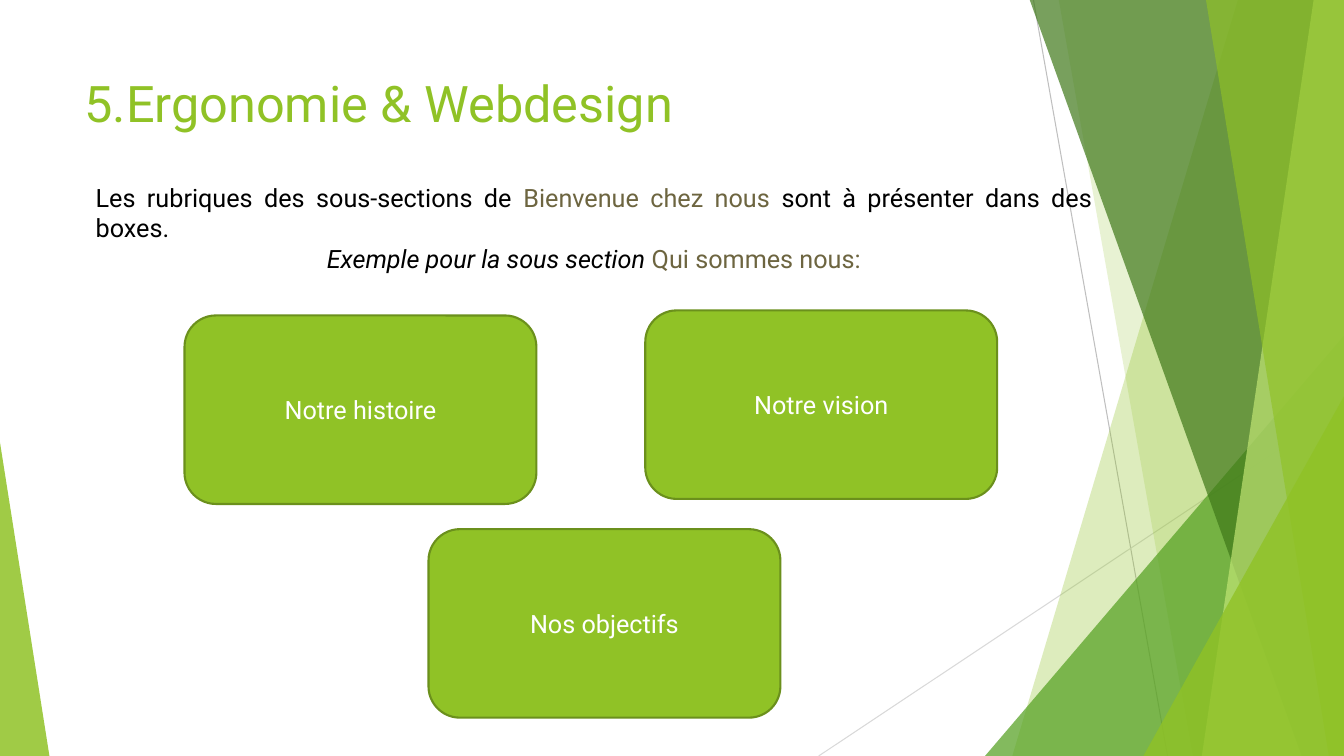
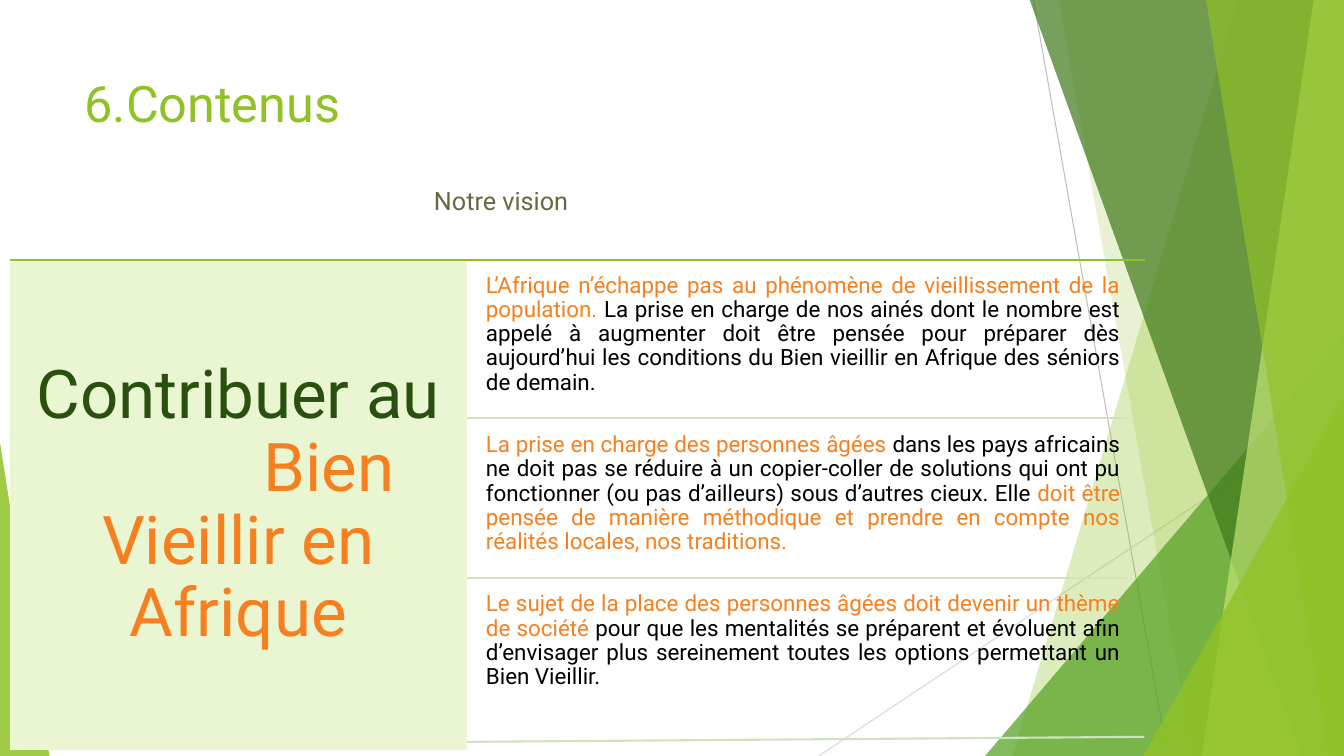
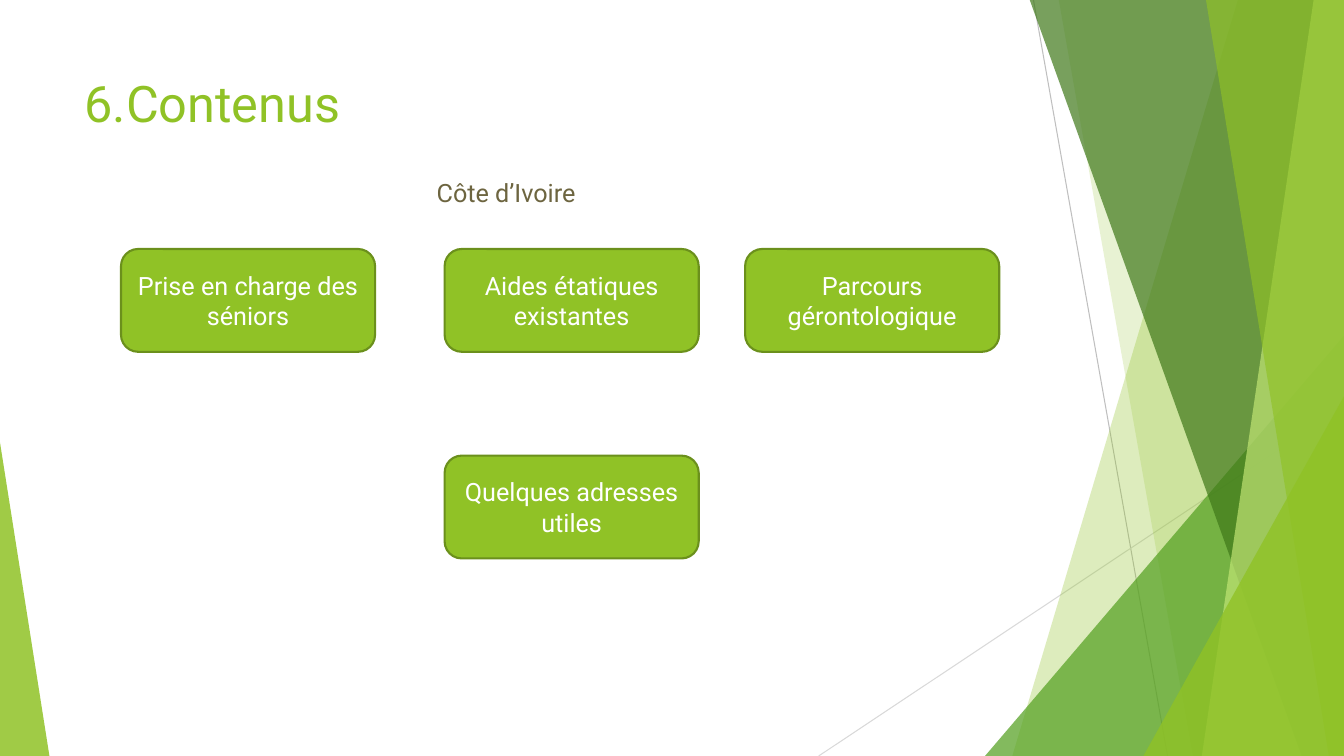
"""Build three slides on web ergonomics and content with a faceted green backdrop."""

import dataclasses
import typing

import lxml.etree
import pptx
import pptx.dml.color
import pptx.enum.shapes
import pptx.enum.text
import pptx.oxml.ns
import pptx.slide
import pptx.util

EMU_PER_PX = 9144
ALIGN = pptx.enum.text.PP_ALIGN
ANCHOR = pptx.enum.text.MSO_ANCHOR
SHAPE = pptx.enum.shapes.MSO_SHAPE


@dataclasses.dataclass(frozen=True)
class Theme:
    font: str = "Roboto"
    title_size: int = 36
    text_size: int = 18
    detail_size: int = 16
    statement_size: int = 48
    green: str = "90C226"
    box_edge: str = "6B901C"
    leaf: str = "54A021"
    forest: str = "3F7819"
    lime: str = "C0E474"
    panel: str = "EAF6D1"
    dark_green: str = "2A5010"
    separator: str = "D1E3BE"
    olive: str = "6D6540"
    orange: str = "F68020"
    black: str = "000000"
    white: str = "FFFFFF"
    gray: str = "BFBFBF"
    light_gray: str = "D9D9D9"


THEME = Theme()


class Point(typing.NamedTuple):
    x: int
    y: int


class Area(typing.NamedTuple):
    left: int
    top: int
    width: int
    height: int


class Run(typing.NamedTuple):
    text: str
    color: str
    italic: bool = False


class Paragraph(typing.NamedTuple):
    runs: tuple[Run, ...]
    align: ALIGN = ALIGN.LEFT
    indent: int = 0


class Facet(typing.NamedTuple):
    points: tuple[Point, ...]
    color: str
    opacity: int


class Triangle(typing.NamedTuple):
    area: Area
    apex: int
    color: str
    opacity: int


class Rule(typing.NamedTuple):
    start: Point
    end: Point
    color: str
    width: float = 1.5


class Box(typing.NamedTuple):
    text: str
    left: int
    top: int


RIGHT, TOP, BOTTOM = 1333, -1, 750


def facet(top_x: int, bottom_x: int, color: str, opacity: int) -> Facet:
    """Describe a facet running from a slanted edge to the right of the slide."""
    points = (Point(top_x, TOP), Point(RIGHT, TOP), Point(RIGHT, BOTTOM), Point(bottom_x, BOTTOM))
    return Facet(points, color, opacity)


BACKDROP = (
    Rule(Point(1025, 0), Point(1158, BOTTOM), THEME.gray, 0.75),
    Rule(Point(RIGHT, 403), Point(812, BOTTOM), THEME.light_gray, 0.75),
    facet(1228, 1004, THEME.green, 30),
    facet(1050, 1183, THEME.green, 20),
    Triangle(Area(977, 333, 356, 417), 1, THEME.leaf, 72),
    facet(1021, 1291, THEME.forest, 70),
    facet(1303, 1192, THEME.lime, 70),
    facet(1196, 1318, THEME.green, 65),
    Triangle(Area(1134, 393, 199, 357), 1, THEME.green, 80),
    Triangle(Area(0, 439, 49, 311), 0, THEME.green, 85),
)

SECTION_BOXES = (
    Box("Notre histoire", 183, 313),
    Box("Notre vision", 640, 308),
    Box("Nos objectifs", 425, 525),
)

COUNTRY_BOXES = (
    Box("Prise en charge des séniors", 120, 247),
    Box("Aides étatiques existantes", 441, 247),
    Box("Parcours gérontologique", 739, 247),
    Box("Quelques adresses utiles", 441, 452),
)

VISION_DETAILS = (
    (
        Run("L’Afrique n’échappe pas au phénomène de vieillissement de la population. ", THEME.orange),
        Run(
            "La prise en charge de nos ainés dont le nombre est appelé à augmenter doit être pensée "
            "pour préparer dès aujourd’hui les conditions du Bien vieillir en Afrique des séniors de demain.",
            THEME.black,
        ),
    ),
    (
        Run("La prise en charge des personnes âgées ", THEME.orange),
        Run(
            "dans les pays africains ne doit pas se réduire à un copier-coller de solutions qui ont pu "
            "fonctionner (ou pas d’ailleurs) sous d’autres cieux. Elle ",
            THEME.black,
        ),
        Run(
            "doit être pensée de manière méthodique et prendre en compte nos réalités locales, nos traditions.",
            THEME.orange,
        ),
    ),
    (
        Run("Le sujet de la place des personnes âgées doit devenir un thème de société ", THEME.orange),
        Run(
            "pour que les mentalités se préparent et évoluent afin d’envisager plus sereinement "
            "toutes les options permettant un Bien Vieillir.",
            THEME.black,
        ),
    ),
)


def px(length: int) -> pptx.util.Emu:
    """Turn a length in px into EMU."""
    return pptx.util.Emu(length * EMU_PER_PX)


def rgb(color: str) -> pptx.dml.color.RGBColor:
    """Turn a hexadecimal string into a colour."""
    return pptx.dml.color.RGBColor.from_string(color)


def write_text(
    frame: typing.Any,
    paragraphs: typing.Sequence[Paragraph],
    *,
    size: int = THEME.text_size,
    anchor: ANCHOR = ANCHOR.TOP,
    spacing: float = 1.0,
    inset: int | None = None,
) -> None:
    """Fill a text frame with formatted paragraphs."""
    frame.word_wrap = True
    frame.vertical_anchor = anchor
    if inset is not None:
        frame.margin_left = frame.margin_right = px(inset)
        frame.margin_top = frame.margin_bottom = px(inset)
    for index, content in enumerate(paragraphs):
        paragraph = frame.add_paragraph() if index else frame.paragraphs[0]
        paragraph.alignment = content.align
        paragraph.line_spacing = spacing
        if content.indent:
            paragraph._p.get_or_add_pPr().set("marL", str(px(content.indent)))
        for part in content.runs:
            run = paragraph.add_run()
            run.text = part.text
            run.font.name = THEME.font
            run.font.size = pptx.util.Pt(size)
            run.font.italic = part.italic
            run.font.color.rgb = rgb(part.color)


def add_text(
    slide: pptx.slide.Slide, area: Area, paragraphs: typing.Sequence[Paragraph], **text_format: typing.Any
) -> None:
    """Add a text box."""
    write_text(slide.shapes.add_textbox(*map(px, area)).text_frame, paragraphs, **text_format)


def paint(shape: typing.Any, color: str, opacity: int = 100, edge: str | None = None) -> None:
    """Set the fill and outline of a shape and drop its shadow."""
    shape.shadow.inherit = False
    shape.fill.solid()
    shape.fill.fore_color.rgb = rgb(color)
    if opacity < 100:
        fill_color = shape.element.spPr.find(".//" + pptx.oxml.ns.qn("a:srgbClr"))
        lxml.etree.SubElement(fill_color, pptx.oxml.ns.qn("a:alpha"), val=str(opacity * 1000))
    if edge:
        shape.line.color.rgb = rgb(edge)
        shape.line.width = pptx.util.Pt(1.5)
    else:
        shape.line.fill.background()


def add_rule(slide: pptx.slide.Slide, rule: Rule) -> None:
    """Add a straight line."""
    connector = slide.shapes.add_connector(
        pptx.enum.shapes.MSO_CONNECTOR.STRAIGHT, *map(px, (*rule.start, *rule.end))
    )
    connector.line.color.rgb = rgb(rule.color)
    connector.line.width = pptx.util.Pt(rule.width)
    lxml.etree.SubElement(connector.element.spPr, pptx.oxml.ns.qn("a:effectLst"))


def add_facet(slide: pptx.slide.Slide, item: Facet) -> None:
    """Add a translucent polygon."""
    builder = slide.shapes.build_freeform(*item.points[0], scale=EMU_PER_PX)
    builder.add_line_segments(item.points[1:], close=True)
    paint(builder.convert_to_shape(), item.color, item.opacity)


def add_triangle(slide: pptx.slide.Slide, item: Triangle) -> None:
    """Add a translucent triangle with its apex at one side."""
    shape = slide.shapes.add_shape(SHAPE.ISOSCELES_TRIANGLE, *map(px, item.area))
    shape.adjustments[0] = item.apex
    paint(shape, item.color, item.opacity)


def add_boxes(slide: pptx.slide.Slide, boxes: typing.Sequence[Box], width: int, height: int) -> None:
    """Add rounded boxes of one size."""
    for box in boxes:
        area = Area(box.left, box.top, width, height)
        shape = slide.shapes.add_shape(SHAPE.ROUNDED_RECTANGLE, *map(px, area))
        paint(shape, THEME.green, edge=THEME.box_edge)
        label = Paragraph((Run(box.text, THEME.white),), ALIGN.CENTER)
        write_text(shape.text_frame, [label], anchor=ANCHOR.MIDDLE)


def add_title(slide: pptx.slide.Slide, text: str) -> None:
    """Add the slide title."""
    title = Paragraph((Run(text, THEME.green),))
    add_text(slide, Area(74, 67, 940, 144), [title], size=THEME.title_size)


def add_subtitle(slide: pptx.slide.Slide, text: str, left: int, top: int) -> None:
    """Add a centred section name."""
    subtitle = Paragraph((Run(text, THEME.olive),), ALIGN.CENTER)
    add_text(slide, Area(left, top, 530, 40), [subtitle])


def move_backdrop_to_layout(slide: pptx.slide.Slide) -> None:
    """Draw the shared backdrop and hand it to the layout of the slide."""
    layout = slide.slide_layout
    for placeholder in list(layout.placeholders):
        layout.shapes.element.remove(placeholder.element)
    painters = {Rule: add_rule, Facet: add_facet, Triangle: add_triangle}
    for item in BACKDROP:
        painters[type(item)](slide, item)
    for shape in list(slide.shapes):
        layout.shapes.element.append(shape.element)


def build_ergonomics(slide: pptx.slide.Slide) -> None:
    """Build the slide on the boxes of a section."""
    add_title(slide, "5.Ergonomie & Webdesign")
    rubrics = Paragraph(
        (
            Run("Les rubriques des sous-sections de ", THEME.black),
            Run("Bienvenue chez nous ", THEME.olive),
            Run("sont à présenter dans des boxes.", THEME.black),
        ),
        ALIGN.JUSTIFY,
    )
    example = Paragraph(
        (
            Run("Exemple pour la sous section", THEME.black, italic=True),
            Run(" Qui sommes nous:", THEME.olive),
        ),
        ALIGN.CENTER,
    )
    add_text(slide, Area(85, 176, 1008, 131), [rubrics, example])
    add_boxes(slide, SECTION_BOXES, 349, 187)


def build_vision(slide: pptx.slide.Slide) -> None:
    """Build the slide on the vision."""
    add_title(slide, "6.Contenus")
    add_subtitle(slide, "Notre vision", 232, 179)
    add_rule(slide, Rule(Point(10, 258), Point(1136, 258), THEME.green))
    panel = slide.shapes.add_shape(SHAPE.RECTANGLE, *map(px, Area(10, 260, 453, 484)))
    paint(panel, THEME.panel)
    statement = (
        Paragraph((Run("Contribuer au", THEME.dark_green),), ALIGN.CENTER),
        Paragraph((Run("Bien", THEME.orange),), ALIGN.CENTER, indent=180),
        Paragraph((Run("Vieillir en Afrique", THEME.orange),), ALIGN.CENTER),
    )
    write_text(
        panel.text_frame, statement, size=THEME.statement_size, anchor=ANCHOR.MIDDLE, spacing=0.9, inset=20
    )
    first_top, pitch, height = 265, 158, 150
    for index, runs in enumerate(VISION_DETAILS):
        top = first_top + index * pitch
        detail = Paragraph(runs, ALIGN.JUSTIFY)
        add_text(
            slide, Area(475, top, 643, height), [detail], size=THEME.detail_size, spacing=0.9, inset=7
        )
        if index < len(VISION_DETAILS) - 1:
            add_rule(slide, Rule(Point(463, top + height), Point(1118, top + height), THEME.separator))
    add_rule(slide, Rule(Point(463, 736), Point(1135, 731), THEME.separator))


def build_country(slide: pptx.slide.Slide) -> None:
    """Build the slide on the country rubrics."""
    add_title(slide, "6.Contenus")
    add_subtitle(slide, "Côte d’Ivoire", 237, 171)
    add_boxes(slide, COUNTRY_BOXES, 252, 102)


def main() -> None:
    """Build and save the presentation."""
    presentation = pptx.Presentation()
    presentation.slide_width = px(RIGHT)
    presentation.slide_height = px(BOTTOM)
    blank = presentation.slide_layouts[6]
    builders = (build_ergonomics, build_vision, build_country)
    slides = [presentation.slides.add_slide(blank) for _ in builders]
    move_backdrop_to_layout(slides[0])
    for build, slide in zip(builders, slides):
        build(slide)
    presentation.save("out.pptx")


if __name__ == "__main__":
    main()
